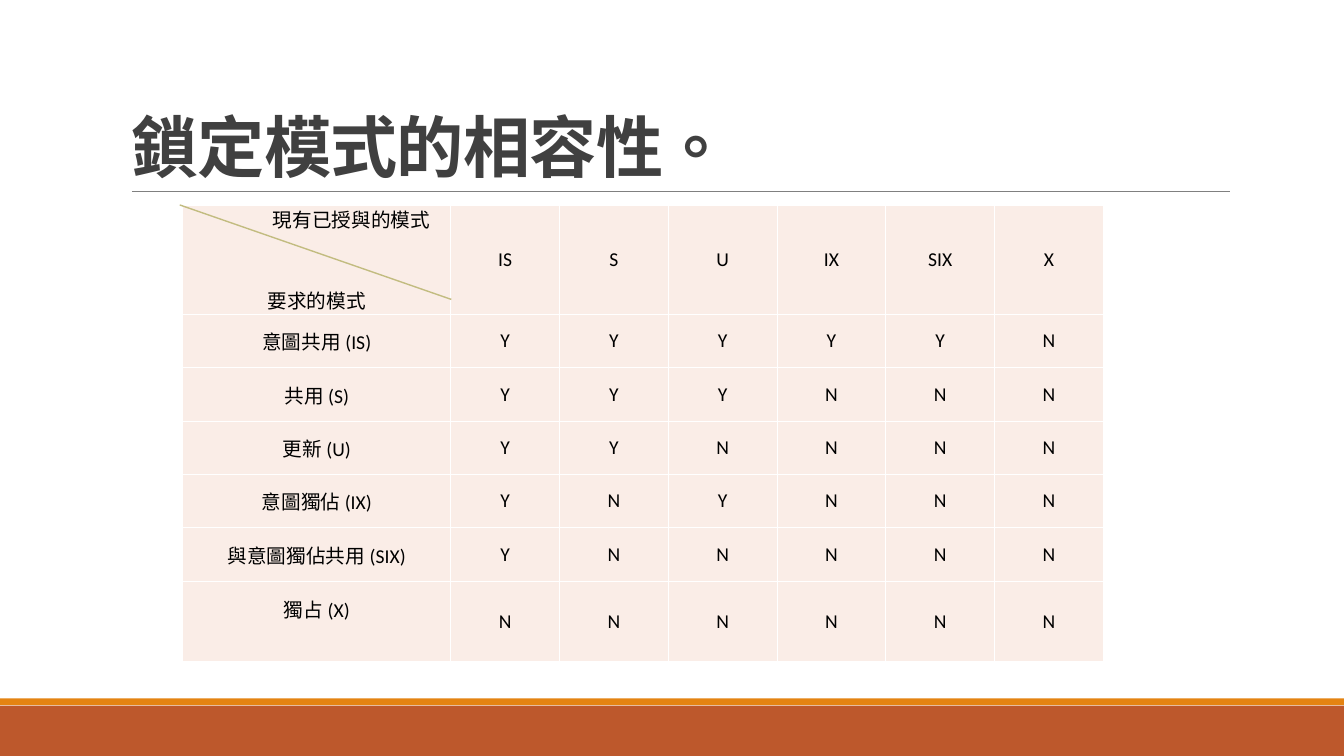
from dataclasses import dataclass
from typing import Any

from pptx import Presentation
from pptx.dml.color import RGBColor
from pptx.enum.shapes import MSO_CONNECTOR, MSO_SHAPE
from pptx.enum.text import MSO_ANCHOR, PP_ALIGN
from pptx.oxml.xmlchemy import OxmlElement
from pptx.slide import Slide
from pptx.util import Pt

CJK_FONT = "Noto Sans CJK SC"
CELL_FILL = "FAEDE7"
BORDER_COLOUR = "FFFFFF"
MODES = ["IS", "S", "U", "IX", "SIX", "X"]
COMPATIBILITY = {
    "意圖共用 (IS)": "YYYYYN",
    "共用 (S)": "YYYNNN",
    "更新 (U)": "YYNNNN",
    "意圖獨佔 (IX)": "YNYNNN",
    "與意圖獨佔共用 (SIX)": "YNNNNN",
    "獨占 (X)": "NNNNNN",
}
COLUMN_WIDTHS = [191.4] + [77.7] * len(MODES)
ROW_HEIGHTS = [78.2] + [38.1] * 5 + [57.4]
TITLE_FONT = {"name": CJK_FONT, "size": Pt(48), "bold": True}
CELL_FONT = {"name": "Calibri", "size": Pt(14), "bold": False}
TITLE_FRAME = {"word_wrap": True, "vertical_anchor": MSO_ANCHOR.BOTTOM}
TABLE_FORMAT = {"first_row": False, "horz_banding": False}
CELL_FORMAT = {
    "margin_left": Pt(1.4),
    "margin_right": Pt(1.4),
    "margin_top": Pt(0),
    "margin_bottom": Pt(0),
    "vertical_anchor": MSO_ANCHOR.MIDDLE,
}


@dataclass
class Band:
    top: float
    height: float
    colour: str


@dataclass
class Rule:
    x1: float
    y1: float
    x2: float
    y2: float
    colour: str
    weight: float


FOOTER_BANDS = [Band(504, 36, "BD582C"), Band(498.8, 5, "E48312")]
TITLE_RULE = Rule(94.3, 136.8, 878.8, 136.8, "808080", 0.5)
CORNER_DIAGONAL = Rule(322.4, 213.9, 128.4, 146.4, "C2BC80", 1)


def colour(hex_string: str) -> RGBColor:
    return RGBColor.from_string(hex_string)


def apply_format(target: Any, values: dict[str, Any]) -> None:
    for name, value in values.items():
        setattr(target, name, value)


def write(paragraph: Any, text: str, font: dict[str, Any], hex_string: str) -> Any:
    run = paragraph.add_run()
    run.text = text
    apply_format(run.font, font)
    run.font.color.rgb = colour(hex_string)
    properties = run._r.get_or_add_rPr()
    properties.set("lang", "zh-TW")
    east_asian = OxmlElement("a:ea")
    east_asian.set("typeface", CJK_FONT)
    properties.append(east_asian)
    return properties


def draw_band(slide: Slide, band: Band) -> None:
    bar = slide.shapes.add_shape(
        MSO_SHAPE.RECTANGLE, Pt(0), Pt(band.top), Pt(960), Pt(band.height)
    )
    bar.shadow.inherit = False
    bar.fill.solid()
    bar.fill.fore_color.rgb = colour(band.colour)
    bar.line.fill.background()


def draw_rule(slide: Slide, rule: Rule) -> None:
    connector = slide.shapes.add_connector(
        MSO_CONNECTOR.STRAIGHT, Pt(rule.x1), Pt(rule.y1), Pt(rule.x2), Pt(rule.y2)
    )
    connector.line.color.rgb = colour(rule.colour)
    connector.line.width = Pt(rule.weight)
    connector._element.spPr.append(OxmlElement("a:effectLst"))


def draw_title(slide: Slide, text: str) -> None:
    title = slide.shapes.add_textbox(Pt(86.6), Pt(22.3), Pt(792), Pt(114.5))
    apply_format(title.text_frame, TITLE_FRAME)
    paragraph = title.text_frame.paragraphs[0]
    paragraph.line_spacing = 0.85
    write(paragraph, text, TITLE_FONT, "404040").set("spc", "-50")


def add_borders(cell: Any) -> None:
    properties = cell._tc.get_or_add_tcPr()
    for position, side in enumerate(("lnL", "lnR", "lnT", "lnB")):
        border = OxmlElement(f"a:{side}")
        border.set("w", str(Pt(1)))
        fill = OxmlElement("a:solidFill")
        shade = OxmlElement("a:srgbClr")
        shade.set("val", BORDER_COLOUR)
        fill.append(shade)
        border.append(fill)
        properties.insert(position, border)


def fill_cell(cell: Any, text: str) -> None:
    apply_format(cell, CELL_FORMAT)
    cell.fill.solid()
    cell.fill.fore_color.rgb = colour(CELL_FILL)
    add_borders(cell)
    paragraph = cell.text_frame.paragraphs[0]
    paragraph.alignment = PP_ALIGN.CENTER
    write(paragraph, text, CELL_FONT, "000000")


def complete_corner(cell: Any) -> None:
    cell.vertical_anchor = MSO_ANCHOR.TOP
    granted = cell.text_frame.paragraphs[0]
    granted._p.get_or_add_pPr().set("indent", str(Pt(49.7)))
    requested = cell.text_frame.add_paragraph()
    apply_format(requested, {"alignment": PP_ALIGN.CENTER, "space_before": Pt(37.4)})
    write(requested, "要求的模式", CELL_FONT, "000000")


def draw_lock_table(slide: Slide) -> None:
    rows = [["現有已授與的模式", *MODES]]
    rows += [[mode, *answers] for mode, answers in COMPATIBILITY.items()]
    lock_table = slide.shapes.add_table(
        len(rows), len(COLUMN_WIDTHS), Pt(130.6), Pt(146.4),
        Pt(sum(COLUMN_WIDTHS)), Pt(sum(ROW_HEIGHTS)),
    ).table
    apply_format(lock_table, TABLE_FORMAT)
    for column, width in zip(lock_table.columns, COLUMN_WIDTHS):
        column.width = Pt(width)
    for row, height, texts in zip(lock_table.rows, ROW_HEIGHTS, rows):
        row.height = Pt(height)
        for cell, text in zip(row.cells, texts):
            fill_cell(cell, text)
    complete_corner(lock_table.cell(0, 0))
    lock_table.cell(len(rows) - 1, 0).margin_bottom = Pt(18)


def main() -> None:
    presentation = Presentation()
    apply_format(presentation, {"slide_width": Pt(960), "slide_height": Pt(540)})
    slide = presentation.slides.add_slide(presentation.slide_layouts[6])
    for band in FOOTER_BANDS:
        draw_band(slide, band)
    draw_rule(slide, TITLE_RULE)
    draw_title(slide, "鎖定模式的相容性。")
    draw_lock_table(slide)
    draw_rule(slide, CORNER_DIAGONAL)
    presentation.save("out.pptx")


if __name__ == "__main__":
    main()
